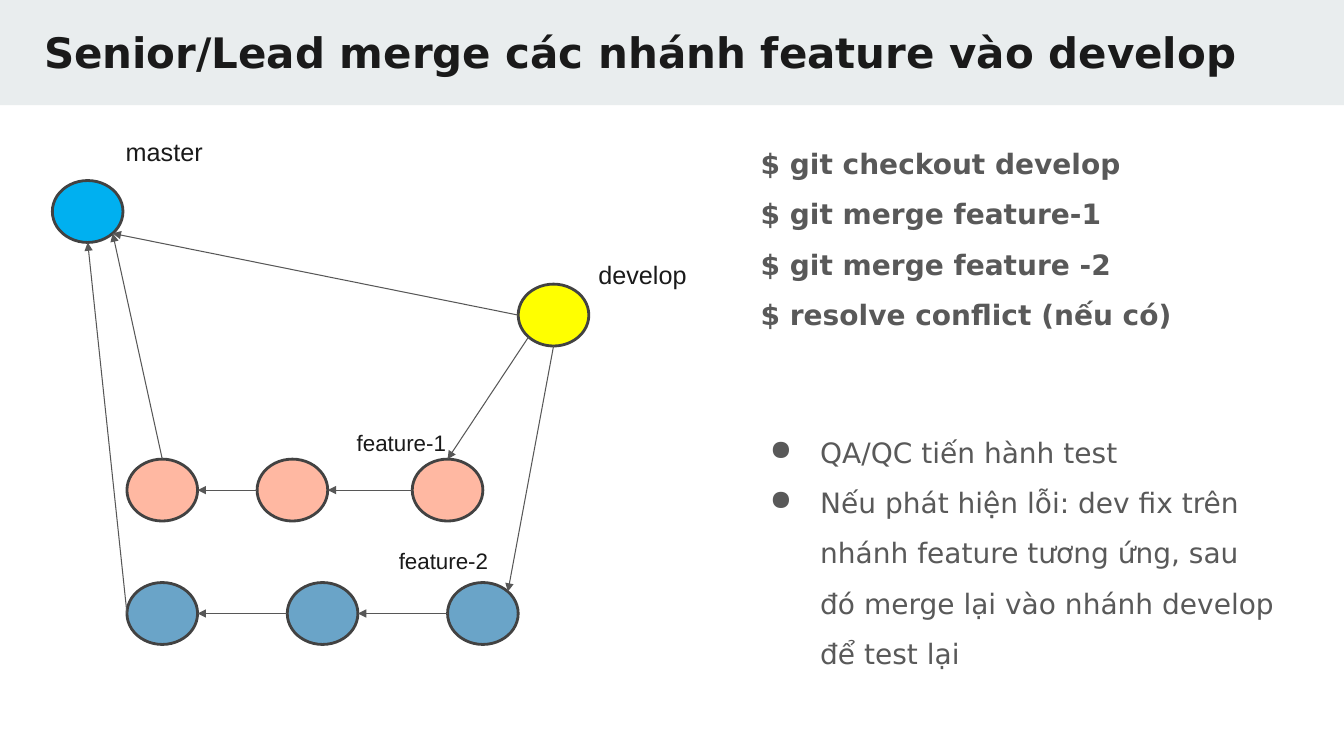
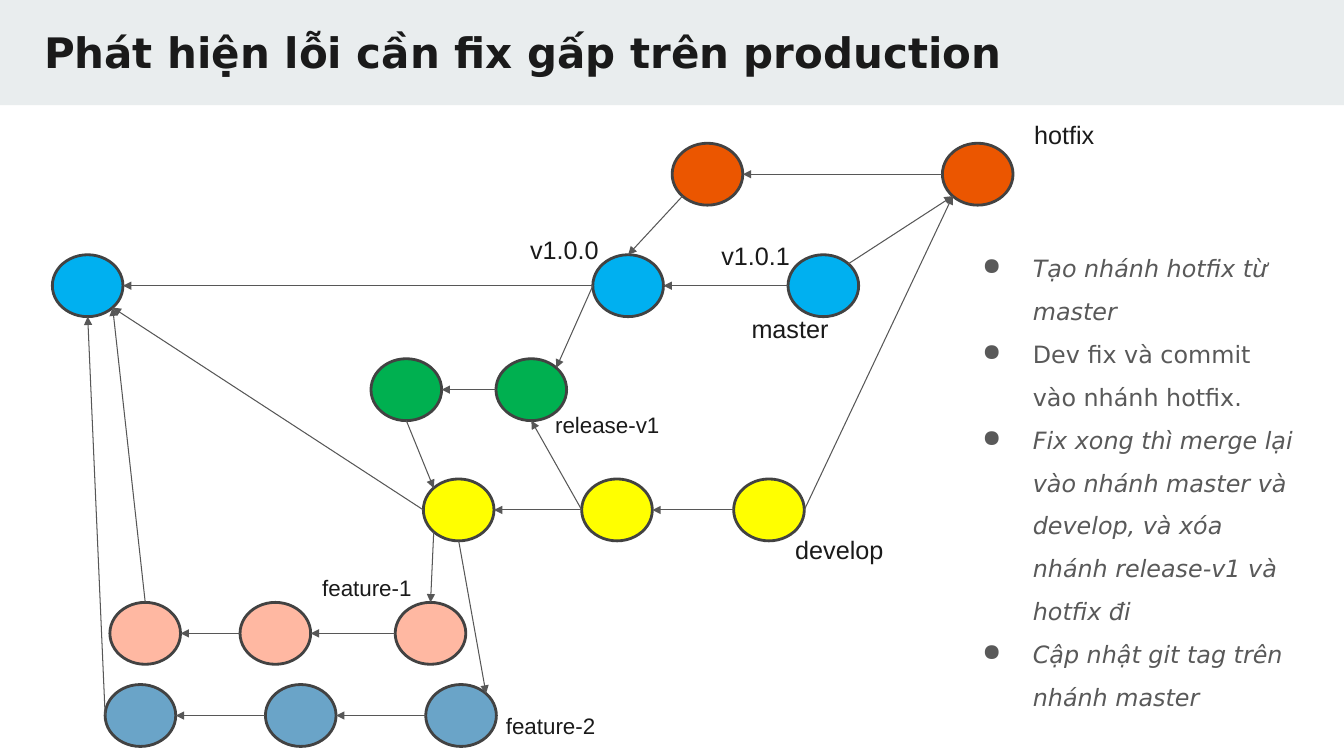
"""Builds two slides on merging git branches."""
from dataclasses import dataclass
from math import cos, pi, sin

from lxml import etree
from pptx import Presentation
from pptx.dml.color import RGBColor
from pptx.enum.shapes import MSO_CONNECTOR, MSO_SHAPE
from pptx.enum.text import MSO_ANCHOR
from pptx.oxml.ns import qn
from pptx.util import Cm, Pt

RECT = MSO_SHAPE.RECTANGLE
OVAL = MSO_SHAPE.OVAL
STRAIGHT = MSO_CONNECTOR.STRAIGHT
TOP = MSO_ANCHOR.TOP
N, NW, W, SW, S, SE, E, NE = range(8)


@dataclass(frozen=True)
class Theme:
    band: str = "E9EDEE"
    ink: str = "1A1A1A"
    text: str = "595959"
    edge: str = "424242"
    arrow: str = "575757"
    master: str = "00B0F0"
    develop: str = "FFFF00"
    release: str = "00B050"
    hotfix: str = "EB5600"
    one: str = "FFB8A2"
    two: str = "6AA4C8"
    head: str = "DejaVu Sans"
    tag: str = "Arial"
    title: int = 30
    large: int = 20
    note: int = 17
    label: int = 18
    small: int = 16


class Deck:
    def __init__(self, theme):
        self.theme = theme
        self.file = Presentation()
        self.file.slide_width, self.file.slide_height = Cm(33.87), Cm(19.05)
        self.slide = None

    def start(self, title):
        self.slide = self.file.slides.add_slide(self.file.slide_layouts[6])
        self.shape(RECT, (0, 0, 33.87, 2.65), self.theme.band)
        style = {"size": Pt(self.theme.title), "name": self.theme.head, "bold": True}
        self.text((0.86, 0.41, 32.26, 1.98), [title], style, self.theme.ink, pad=0.25)

    def shape(self, kind, box, fill, edge=None):
        item = self.slide.shapes.add_shape(kind, *map(Cm, box))
        item.shadow.inherit = False
        item.fill.solid()
        item.fill.fore_color.rgb = RGBColor.from_string(fill)
        if edge:
            item.line.color.rgb = RGBColor.from_string(edge)
            item.line.width = Pt(2)
        else:
            item.line.fill.background()
        return item

    def text(self, box, lines, style, color, pad=0.13):
        frame = self.slide.shapes.add_textbox(*map(Cm, box)).text_frame
        look = {"word_wrap": True, "vertical_anchor": TOP, "margin_left": Cm(0.25),
                "margin_right": Cm(0.25), "margin_top": Cm(pad), "margin_bottom": Cm(pad)}
        for key, value in look.items():
            setattr(frame, key, value)
        for i, line in enumerate(lines):
            para = frame.add_paragraph() if i else frame.paragraphs[0]
            run = para.add_run()
            run.text = line
            for key, value in style.items():
                setattr(run.font, key, value)
            run.font.color.rgb = RGBColor.from_string(color)
        return frame.paragraphs

    def label(self, x, y, line, size):
        style = {"size": Pt(size), "name": self.theme.tag}
        self.text((x, y, 3.2, 1.03), [line], style, self.theme.ink)

    def body(self, box, lines, size, bold=False, bullet=False):
        style = {"size": Pt(size), "name": self.theme.head, "bold": bold}
        paras = self.text(box, lines, style, self.theme.text, pad=0.25)
        left, indent = (1.7, -1.27) if bullet else (0.43, 0)
        for para in paras:
            para.line_spacing = 1.5
            props = para._p.get_or_add_pPr()
            props.set("marL", str(Cm(left)))
            props.set("indent", str(Cm(indent)))
            if bullet:
                color = etree.SubElement(props, qn("a:buClr"))
                etree.SubElement(color, qn("a:srgbClr"), val=self.theme.text)
                etree.SubElement(props, qn("a:buChar"), char="●")
        return paras

    def row(self, fill, y, *lefts):
        nodes = [self.shape(OVAL, (x, y, 1.78, 1.56), fill, self.theme.edge) for x in lefts]
        for old, new in zip(nodes, nodes[1:]):
            self.link(new, W, old, E)
        return nodes

    def link(self, start, out, end, into):
        ends = (("a:stCxn", start, out), ("a:endCxn", end, into))
        spots = []
        for _, node, site in ends:
            turn = site * pi / 4
            spots.append(round(node.left + node.width * (1 - sin(turn)) / 2))
            spots.append(round(node.top + node.height * (1 - cos(turn)) / 2))
        line = self.slide.shapes.add_connector(STRAIGHT, *spots)
        line.line.color.rgb = RGBColor.from_string(self.theme.arrow)
        line.line.width = Pt(0.75)
        props = line._element.spPr
        etree.SubElement(props.find(qn("a:ln")), qn("a:tailEnd"), type="triangle")
        etree.SubElement(props, qn("a:effectLst"))
        joint = line._element.find(".//" + qn("p:cNvCxnSpPr"))
        for tag, node, site in ends:
            etree.SubElement(joint, qn(tag), id=str(node.shape_id), idx=str(site))

    def tree(self, root, dev, one, two):
        x, y = one
        one = self.row(self.theme.one, y, x, x + 3.28, x + 7.19)
        x, y = two
        two = self.row(self.theme.two, y, x, x + 4.04, x + 8.08)
        self.link(one[0], N, root, SE)
        self.link(two[0], W, root, S)
        self.link(dev, W, root, SE)
        self.link(dev, SW, one[-1], N)
        self.link(dev, S, two[-1], NE)


def merge(deck):
    look = deck.theme
    deck.start("Senior/Lead merge các nhánh feature vào develop")
    root, = deck.row(look.master, 4.55, 1.32)
    dev, = deck.row(look.develop, 7.16, 13.06)
    deck.tree(root, dev, (3.2, 11.57), (3.2, 14.68))
    for x, y, line, size in ((2.92, 3.3, "master", look.label),
                             (14.83, 6.4, "develop", look.label),
                             (8.74, 10.69, "feature-1", look.small),
                             (9.8, 13.67, "feature-2", look.small)):
        deck.label(x, y, line, size)
    deck.body((18.49, 3.02, 13.79, 5.72),
              ["$ git checkout develop", "$ git merge feature-1",
               "$ git merge feature -2", "$ resolve conflict (nếu có)"],
              look.large, bold=True)
    deck.body((18.72, 10.29, 13.79, 6.88),
              ["QA/QC tiến hành test",
               "Nếu phát hiện lỗi: dev fix trên nhánh feature tương ứng, "
               "sau đó merge lại vào nhánh develop để test lại"],
              look.large, bullet=True)


def patch(deck):
    look = deck.theme
    deck.start("Phát hiện lỗi cần fix gấp trên production")
    main = deck.row(look.master, 6.42, 1.32, 14.94, 19.86)
    dev = deck.row(look.develop, 12.07, 10.67, 14.66, 18.49)
    ship = deck.row(look.release, 9.04, 9.35, 12.5)
    hot = deck.row(look.hotfix, 3.61, 16.94, 23.75)
    deck.tree(main[0], dev[0], (2.77, 15.18), (2.65, 17.25))
    for ends in ((ship[0], S, dev[0], NW), (dev[1], W, ship[1], S),
                 (main[1], W, ship[1], NE), (hot[0], SW, main[1], N),
                 (main[2], NE, hot[1], SW), (dev[2], E, hot[1], SW)):
        deck.link(*ends)
    for x, y, line, size in ((18.69, 7.77, "master", look.label),
                             (19.79, 13.34, "develop", look.label),
                             (25.81, 2.87, "hotfix", look.label),
                             (13.11, 5.77, "v1.0.0", look.label),
                             (17.93, 5.92, "v1.0.1", look.label),
                             (7.87, 14.33, "feature-1", look.small),
                             (12.5, 17.81, "feature-2", look.small),
                             (13.74, 10.24, "release-v1", look.small)):
        deck.label(x, y, line, size)
    paras = deck.body((24.08, 5.79, 8.97, 12.52),
                      ["Tạo nhánh hotfix từ master",
                       "Dev fix và commit vào nhánh hotfix.",
                       "Fix xong thì merge lại vào nhánh master và develop, "
                       "và xóa nhánh release-v1 và hotfix đi",
                       "Cập nhật git tag trên nhánh master"],
                      look.note, bullet=True)
    for i, para in enumerate(paras):
        para.runs[0].font.italic = i != 1


def main():
    deck = Deck(Theme())
    merge(deck)
    patch(deck)
    deck.file.save("out.pptx")


if __name__ == "__main__":
    main()
